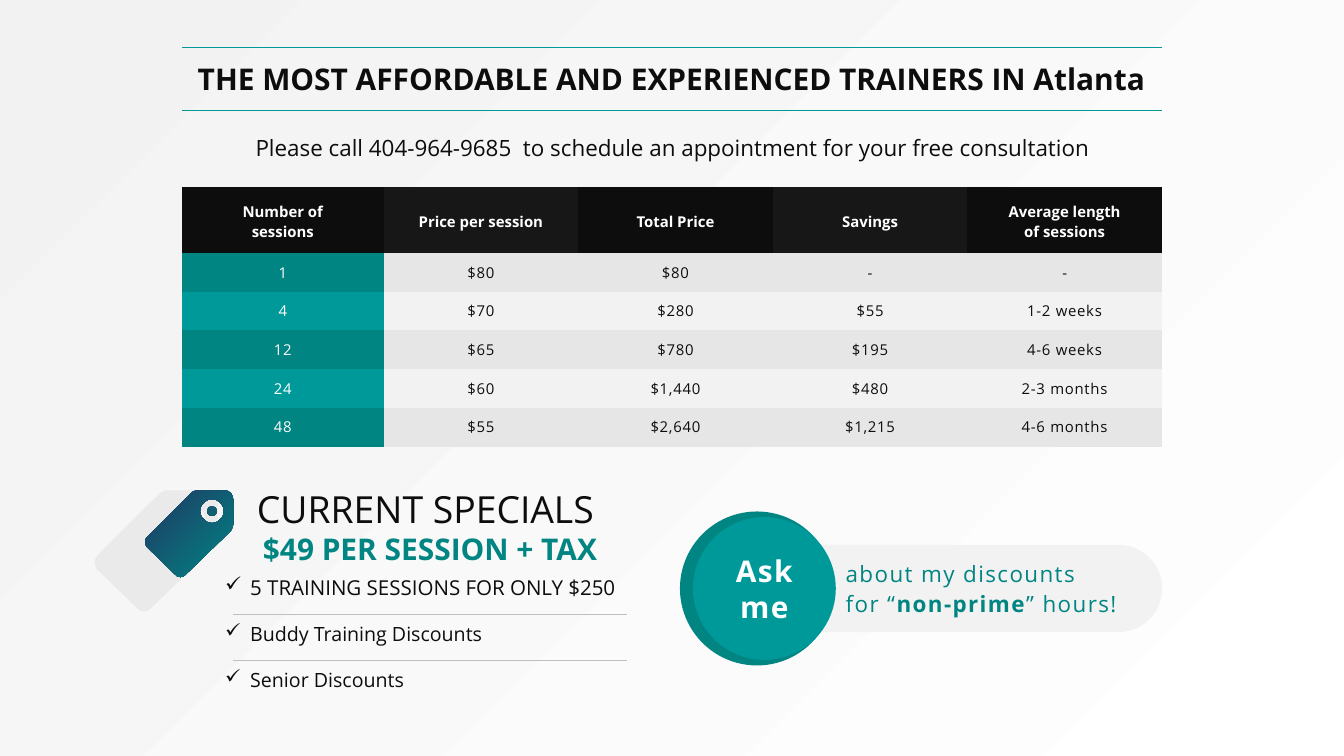
from math import cos, pi, sin

from pptx import Presentation
from pptx.dml.color import RGBColor
from pptx.enum.shapes import MSO_CONNECTOR, MSO_SHAPE
from pptx.enum.text import MSO_ANCHOR, MSO_AUTO_SIZE, PP_ALIGN
from pptx.oxml import parse_xml
from pptx.oxml.ns import nsdecls, qn
from pptx.util import Pt

LINE = MSO_CONNECTOR.STRAIGHT
OVAL, PILL = MSO_SHAPE.OVAL, MSO_SHAPE.ROUND_2_SAME_RECTANGLE
TOP, MIDDLE, BOTTOM = MSO_ANCHOR.TOP, MSO_ANCHOR.MIDDLE, MSO_ANCHOR.BOTTOM
LEFT, CENTER = PP_ALIGN.LEFT, PP_ALIGN.CENTER
NO_FIT = MSO_AUTO_SIZE.NONE
FONT = "Open Sans"
INK, WHITE, TEAL, DARK, PALE, GREY = (
    "0D0D0D", "FFFFFF", "009999", "008582", "F2F2F2", "E7E6E6")
NO_GRID = "{2D5ABB26-0587-4C30-8999-92F81FD0307C}"
rgb = RGBColor.from_string


def style(para, size, color=INK, bold=False, space=0, align=CENTER):
    para.alignment = align
    for run in para.runs:
        run.font.name = FONT
        run.font.size = Pt(size)
        run.font.bold = bold
        run.font.color.rgb = rgb(color)
        if space:
            run._r.get_or_add_rPr().set("spc", str(int(space * 100)))


def add_text(left, top, width, height, text, anchor=TOP):
    box = slide.shapes.add_textbox(Pt(left), Pt(top), Pt(width), Pt(height))
    frame = box.text_frame
    frame.word_wrap = True
    frame.vertical_anchor = anchor
    frame.text = text
    return frame.paragraphs


prs = Presentation()
prs.slide_width, prs.slide_height = Pt(1440), Pt(810)
slide = prs.slides.add_slide(prs.slide_layouts[5])
shapes = slide.shapes

# Title and call to action
title = shapes.title
title.left, title.top, title.width, title.height = Pt(183.5), Pt(54), Pt(1073), Pt(54)
frame = title.text_frame
frame.auto_size = NO_FIT
frame.vertical_anchor = TOP
frame.text = "THE MOST AFFORDABLE AND EXPERIENCED TRAINERS IN Atlanta"
head = frame.paragraphs[0]
style(head, 32, bold=True)
call = add_text(
    255, 134, 931, 42.5,
    "Please call 404-964-9685  to schedule an appointment for your free consultation")[0]
style(call, 24)
for para in (head, call):
    para.line_spacing = 1.2
    para.space_before = Pt(0)
    para.space_after = Pt(12)

# Rules around the title and between the specials
for x1, x2, y, color in (
        (195, 1245, 50.5, TEAL), (195, 1245, 118.5, TEAL),
        (250, 672, 658.5, "BFBFBF"), (250, 672, 707.5, "BFBFBF")):
    rule = shapes.add_connector(LINE, Pt(x1), Pt(y), Pt(x2), Pt(y))
    rule.line.color.rgb = rgb(color)
    rule.line.width = Pt(0.5)
    rule._element.spPr.append(parse_xml(f"<a:effectLst {nsdecls('a')}/>"))

# Price table
prices = [
    ["Number of\vsessions", "Price per session", "Total Price", "Savings",
     "Average length\vof sessions"],
    ["1", "$80", "$80", "-", "-"],
    ["4", "$70", "$280", "$55", "1-2 weeks"],
    ["12", "$65", "$780", "$195", "4-6 weeks"],
    ["24", "$60", "$1,440", "$480", "2-3 months"],
    ["48", "$55", "$2,640", "$1,215", "4-6 months"],
]
table = shapes.add_table(6, 5, Pt(195), Pt(200), Pt(1050), Pt(278.5)).table
table.first_row = table.horz_banding = False
table._tbl.tblPr.find(qn("a:tableStyleId")).text = NO_GRID
for c, col in enumerate(table.columns):
    col.width = Pt(208.5 if c else 216)
for r, row in enumerate(table.rows):
    row.height = Pt(41.5 if r else 71)
    for c, cell in enumerate(row.cells):
        para = cell.text_frame.paragraphs[0]
        para.text = prices[r][c]
        cell.vertical_anchor = MIDDLE
        cell.margin_left = cell.margin_right = 0
        cell.margin_top = Pt(8.5 if r else 15)
        cell.margin_bottom = Pt(8.5 if r else 11)
        if r == 0:
            fill = (INK, "181717")[c % 2]
            style(para, 16, WHITE, bold=True)
        elif c == 0:
            fill = (TEAL, DARK)[r % 2]
            style(para, 16, WHITE, space=0.8)
        else:
            fill = (PALE, GREY)[r % 2]
            style(para, 16, space=0 if prices[r][c] == "-" else 0.8)
        cell.fill.solid()
        cell.fill.fore_color.rgb = rgb(fill)

# Current specials
offer = add_text(250, 516, 422, 94.5,
                 "CURRENT SPECIALS \n$49 PER SESSION + TAX", BOTTOM)
style(offer[0], 40)
style(offer[1], 32, DARK, bold=True)
for top, size, text in (
        (612.5, 22, "5 TRAINING SESSIONS FOR ONLY $250"),
        (663, 21, "Buddy Training Discounts"),
        (712, 21, "Senior Discounts")):
    item = add_text(234, top, 453, 33, text)[0]
    props = item._p.get_or_add_pPr()
    props.set("marL", str(Pt(27)))
    props.set("indent", str(-Pt(27)))
    props.append(parse_xml(f'<a:buChar {nsdecls("a")} char="✓"/>'))
    style(item, size, align=LEFT)

# Discount badge
for kind, left, top, width, height, color in (
        (PILL, 1001, 433, 93.5, 395, PALE),
        (OVAL, 728.5, 548, 165, 165, DARK),
        (OVAL, 742.5, 554, 153, 153, TEAL)):
    part = shapes.add_shape(kind, Pt(left), Pt(top), Pt(width), Pt(height))
    part.shadow.inherit = False
    part.fill.solid()
    part.fill.fore_color.rgb = rgb(color)
    part.line.fill.background()
    if kind == PILL:
        part.rotation = 90
        part.adjustments[0], part.adjustments[1] = 0.5, 0
for para in add_text(761, 588, 116, 85, "Ask\nme", MIDDLE):
    style(para, 32, WHITE, bold=True, space=1.5)
hint = add_text(899, 596, 327, 68.5, "about my discounts\n", MIDDLE)
for text in ("for “", "non-prime", "” hours!"):
    hint[1].add_run().text = text
for para in hint:
    style(para, 24, DARK, space=1.5, align=LEFT)
    para.space_after = Pt(3)
hint[1].runs[1].font.bold = True

# Price tags: outline, hole and dot, in units of 0.72 points
edge = [(63, 175), (67, 179), (74, 180), (79, 179), (84, 175), (178, 84),
        (181, 78), (183, 71), (183, 18), (181, 11), (178, 5), (171, 1),
        (164, 0), (106, 0), (100, 2), (96, 5), (4, 97), (1, 101), (0, 108),
        (2, 115), (4, 118)]
rings = [[(139 + size * cos(2 * pi * i / steps), 43 + size * sin(2 * pi * i / steps))
          for i in range(steps)] for size, steps in ((24.5, 32), (9.5, 16))]
tags = []
for left, scale in ((101.5, 1), (155.5, 0.716)):
    form = shapes.build_freeform(*edge[0], scale=Pt(0.72) * scale)
    form.add_line_segments(edge[1:])
    for ring in rings:
        form.move_to(*ring[0])
        form.add_line_segments(ring[1:])
    tag = form.convert_to_shape(Pt(left), Pt(525.5))
    tag.shadow.inherit = False
    tag.line.fill.background()
    tags.append(tag)
back, front = tags
back.fill.solid()
back.fill.fore_color.rgb = rgb(GREY)
shade = next(back._element.spPr.iter(qn("a:srgbClr")))
shade.append(parse_xml(f'<a:alpha {nsdecls("a")} val="75000"/>'))

# Radial gradients centred on the lower right corner
for fill, colors in ((slide.background.fill, (WHITE, PALE)),
                     (front.fill, (DARK, "203864"))):
    fill.gradient()
    for stop, place, color in zip(fill.gradient_stops, (0, 1), colors):
        stop.position = place
        stop.color.rgb = rgb(color)
for lin in list(slide._element.iter(qn("a:lin"))):
    lin.getparent().replace(lin, parse_xml(
        f'<a:path {nsdecls("a")} path="circle">'
        '<a:fillToRect l="100000" t="100000"/></a:path>'))

prs.save("out.pptx")
